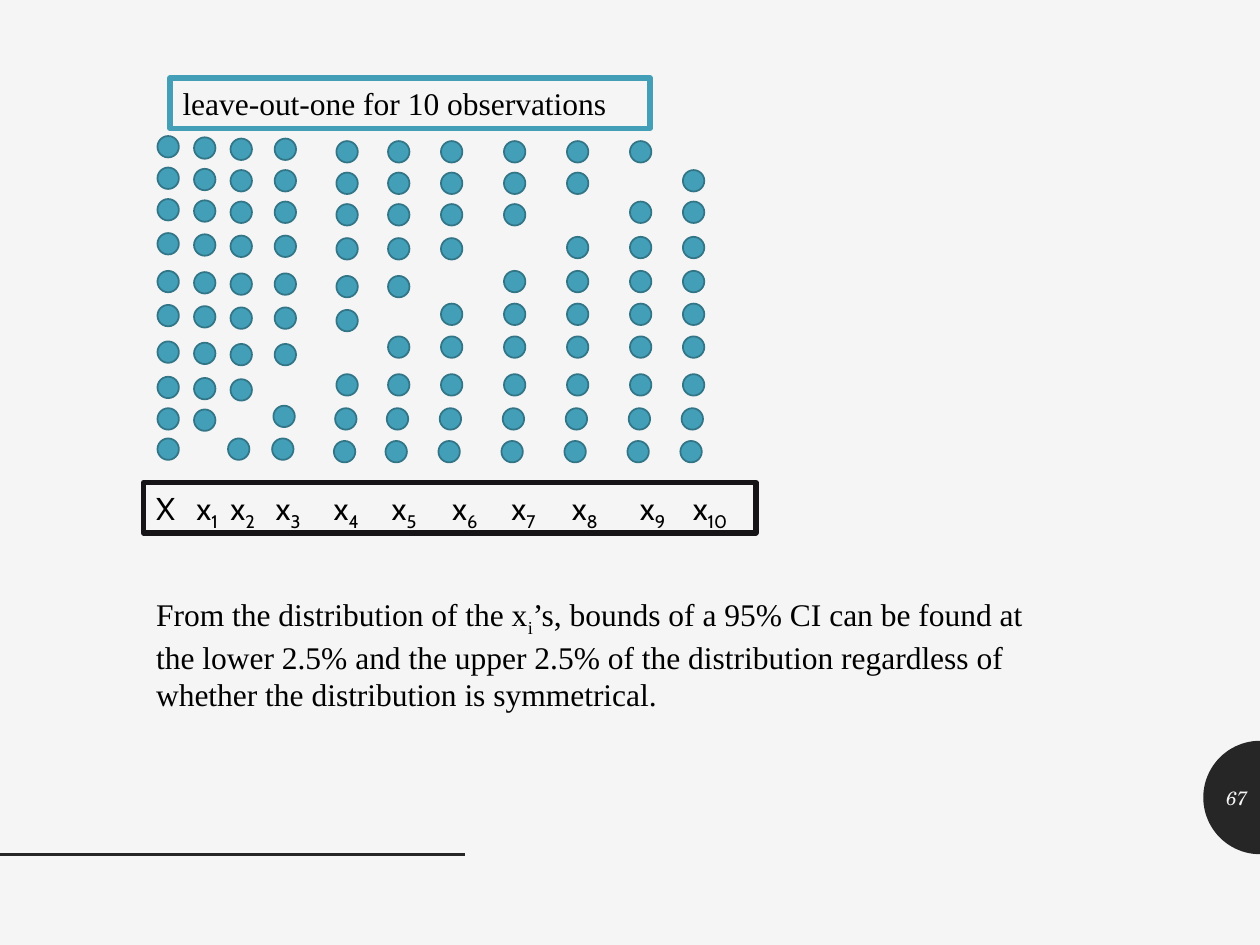
import math
from lxml import etree
from pptx import Presentation, util as u
from pptx.dml.color import RGBColor
from pptx.enum import shapes, text
from pptx.oxml import ns

PX = 9144  # 100 px to the inch
COLORS = {"bg": "F5F5F5", "dark": "262626", "dot": "439EB7", "dot_line": "327587",
          "box_line": "161416", "black": "000000"}
SERIF = "Times New Roman"

# Content: runs are (text, is subscript)
TITLE = [("leave-out-one for 10 observations", False)]
BODY = [("From the distribution of the x", False), ("i", True),
        ("’s, bounds of a 95% CI can be found at the lower 2.5% and the upper 2.5% "
         "of the distribution regardless of whether the distribution is symmetrical.", False)]
LABELS = [("X", False)]
for i in range(1, 11):
    LABELS += [("\tx", False), (str(i), True)]
LABEL_TABS = [32, 59, 95, 141, 187, 235, 282, 330, 384, 426]

# Dot columns: full sample first, then sample i without observation 11 - i
DOT = 17
COLUMN_LEFT = [125, 154, 183, 218, 267, 308, 350, 400, 450, 500, 542]
SHIFT_ABOVE = [0, 1, 2, 2] + [4] * 7
SHIFT_BELOW = [0, 0, -2, -2] + [0] * 7
TOPS_ABOVE = [108, 133, 158, 185, 215, 242, 271, 299, 324, 348]
TOPS_BELOW = [112, 135, 160, 188, 215, 241, 267, 297, 324, 350]
DRIFT_BELOW = {8: -1, 9: -2}


def rgb(name):
    return RGBColor.from_string(COLORS[name])


def px(*values):
    return [u.Emu(round(v * PX)) for v in values]


def paint(sp, fill=None, line=None, width=1):
    sp.shadow.inherit = False
    if fill:
        sp.fill.solid()
        sp.fill.fore_color.rgb = rgb(fill)
    else:
        sp.fill.background()
    if line:
        sp.line.color.rgb = rgb(line)
        sp.line.width = u.Pt(width)
    else:
        sp.line.fill.background()


def write(sp, runs, font=SERIF, size=18, color="black", italic=False,
          align=text.PP_ALIGN.LEFT, anchor=text.MSO_ANCHOR.TOP):
    tf = sp.text_frame
    tf.word_wrap = True
    tf.vertical_anchor = anchor
    p = tf.paragraphs[0]
    p.alignment = align
    for words, subscript in runs:
        r = p.add_run()
        r.text = words
        r.font.name, r.font.size, r.font.italic = font, u.Pt(size), italic
        r.font.color.rgb = rgb(color)
        if subscript:
            r.font._element.set("baseline", "-25000")
    return p


prs = Presentation()
prs.slide_width, prs.slide_height = px(1000, 750)
s = prs.slides.add_slide(prs.slide_layouts[6])
s.background.fill.solid()
s.background.fill.fore_color.rgb = rgb("bg")

# Half disc behind the page number
cx, cy, radius = 1000, 633, 45
arc = [px(cx - radius * math.sin(a), cy - radius * math.cos(a))
       for a in (math.pi * k / 48 for k in range(49))]
fb = s.shapes.build_freeform(*arc[0], scale=1.0)
fb.add_line_segments(arc[1:], close=True)
paint(fb.convert_to_shape(), "dark")

# Footer rule
rule = s.shapes.add_connector(shapes.MSO_CONNECTOR.STRAIGHT, *px(0, 678, 369, 678))
rule.line.color.rgb = rgb("dark")
rule.line.width = u.Pt(2)
etree.SubElement(rule._element.spPr, ns.qn("a:effectLst"))

# Dots
for col, left in enumerate(COLUMN_LEFT):
    gap = 10 - col
    for row in range(10):
        if row == gap:
            continue
        if row < gap:
            x, y = left, TOPS_ABOVE[row] + SHIFT_ABOVE[col]
        else:
            x = left + DRIFT_BELOW.get(row, 0)
            y = TOPS_BELOW[row] + SHIFT_BELOW[col]
        dot = s.shapes.add_shape(shapes.MSO_SHAPE.OVAL, *px(x, y, DOT, DOT))
        paint(dot, "dot", "dot_line")

# Framed label row and title
label_box = s.shapes.add_shape(shapes.MSO_SHAPE.RECTANGLE, *px(114, 383, 486, 40))
paint(label_box, line="box_line", width=3)
p = write(label_box, LABELS, font="Cabin")
tabs = etree.SubElement(p._p.get_or_add_pPr(), ns.qn("a:tabLst"))
for pos in LABEL_TABS:
    etree.SubElement(tabs, ns.qn("a:tab"), pos=str(pos * PX), algn="l")

title_box = s.shapes.add_shape(shapes.MSO_SHAPE.RECTANGLE, *px(135, 62, 381, 40))
paint(title_box, line="dot", width=3)
write(title_box, TITLE)

# Body text and page number
write(s.shapes.add_textbox(*px(114, 467, 728, 101)), BODY)
write(s.shapes.add_textbox(*px(955, 613, 45, 40)), [("67", False)],
      font="TeX Gyre Schola", size=11, color="bg", italic=True,
      align=text.PP_ALIGN.RIGHT, anchor=text.MSO_ANCHOR.MIDDLE)

prs.save("out.pptx")
